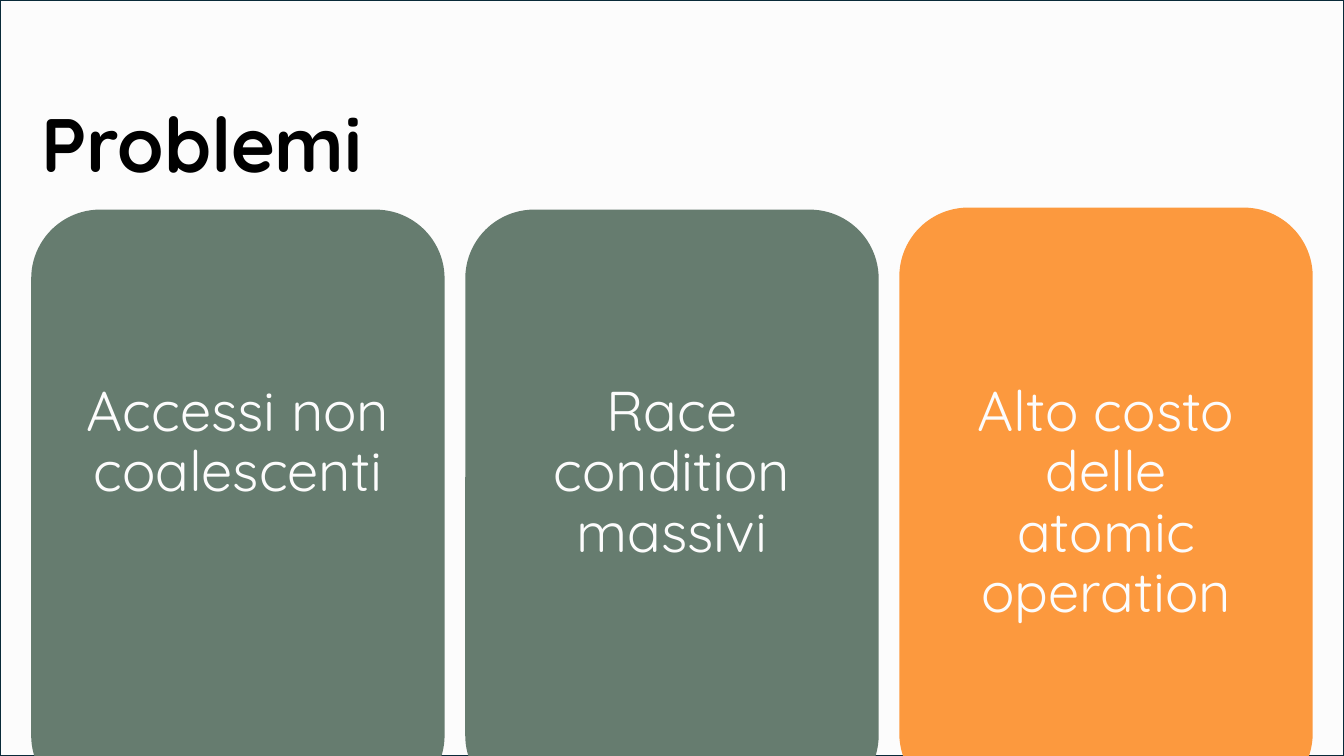
from pptx import Presentation
from pptx.dml.color import RGBColor
from pptx.enum.shapes import MSO_SHAPE as Shape
from pptx.enum.text import MSO_ANCHOR as Anchor, PP_ALIGN as Align
from pptx.util import Inches, Pt

FONT = "Quicksand"
PAPER, INK, NAVY = "FCFCFC", "000000", "092A39"
GREEN, ORANGE = "667C6F", "FC993E"
WIDTH, HEIGHT = 13.33, 7.5

CARD_LEFT, CARD_WIDTH, CARD_HEIGHT, CARD_PITCH = 0.31, 4.1, 5.9, 4.305
LABEL_INSET, LABEL_TOP, LABEL_HEIGHT = 0.43, 3.75, 1.29
CARDS = [
    ("Accessi non coalescenti", GREEN, 2.08),
    ("Race condition massivi", GREEN, 2.08),
    ("Alto costo delle atomic operation", ORANGE, 2.06),
]


def color(hex_string):
    return RGBColor.from_string(hex_string)


def add_panel(slide, kind, box, fill, line=None):
    """Add a filled shape, outlined only when a line colour is given."""
    shape = slide.shapes.add_shape(kind, *map(Inches, box))
    shape.shadow.inherit = False
    shape.fill.solid()
    shape.fill.fore_color.rgb = color(fill)
    if line:
        shape.line.color.rgb = color(line)
        shape.line.width = Pt(1.5)
    else:
        shape.line.fill.background()


def add_text(slide, text, box, size, ink, align=Align.LEFT,
             anchor=Anchor.TOP, bold=False, space_before=0):
    text_frame = slide.shapes.add_textbox(*map(Inches, box)).text_frame
    text_frame.word_wrap = True
    text_frame.vertical_anchor = anchor
    text_frame.text = text
    paragraph = text_frame.paragraphs[0]
    paragraph.alignment = align
    paragraph.line_spacing = 0.9
    paragraph.space_before = Pt(space_before)
    font = paragraph.runs[0].font
    font.name, font.size, font.bold = FONT, Pt(size), bold
    font.color.rgb = color(ink)


def add_title(slide, box):
    add_text(slide, "Problemi", box, 54, INK, anchor=Anchor.BOTTOM, bold=True)


def add_card(slide, text, fill, box):
    """Add a rounded card with its centred label."""
    left, _, width, _ = box
    add_panel(slide, Shape.ROUNDED_RECTANGLE, box, fill)
    label_box = (left + LABEL_INSET, LABEL_TOP,
                 width - 2 * LABEL_INSET, LABEL_HEIGHT)
    add_text(slide, text, label_box, 40, PAPER,
             align=Align.CENTER, space_before=10)


def main():
    presentation = Presentation()
    presentation.slide_width = Inches(WIDTH)
    presentation.slide_height = Inches(HEIGHT)
    slide = presentation.slides.add_slide(presentation.slide_layouts[6])

    add_panel(slide, Shape.RECTANGLE, (0, 0, WIDTH, HEIGHT), PAPER, NAVY)
    add_title(slide, (CARD_LEFT, 0.98, 7.57, 0.94))
    for index, (text, fill, top) in enumerate(CARDS):
        left = CARD_LEFT + index * CARD_PITCH
        add_card(slide, text, fill, (left, top, CARD_WIDTH, CARD_HEIGHT))

    presentation.save("out.pptx")


if __name__ == "__main__":
    main()
